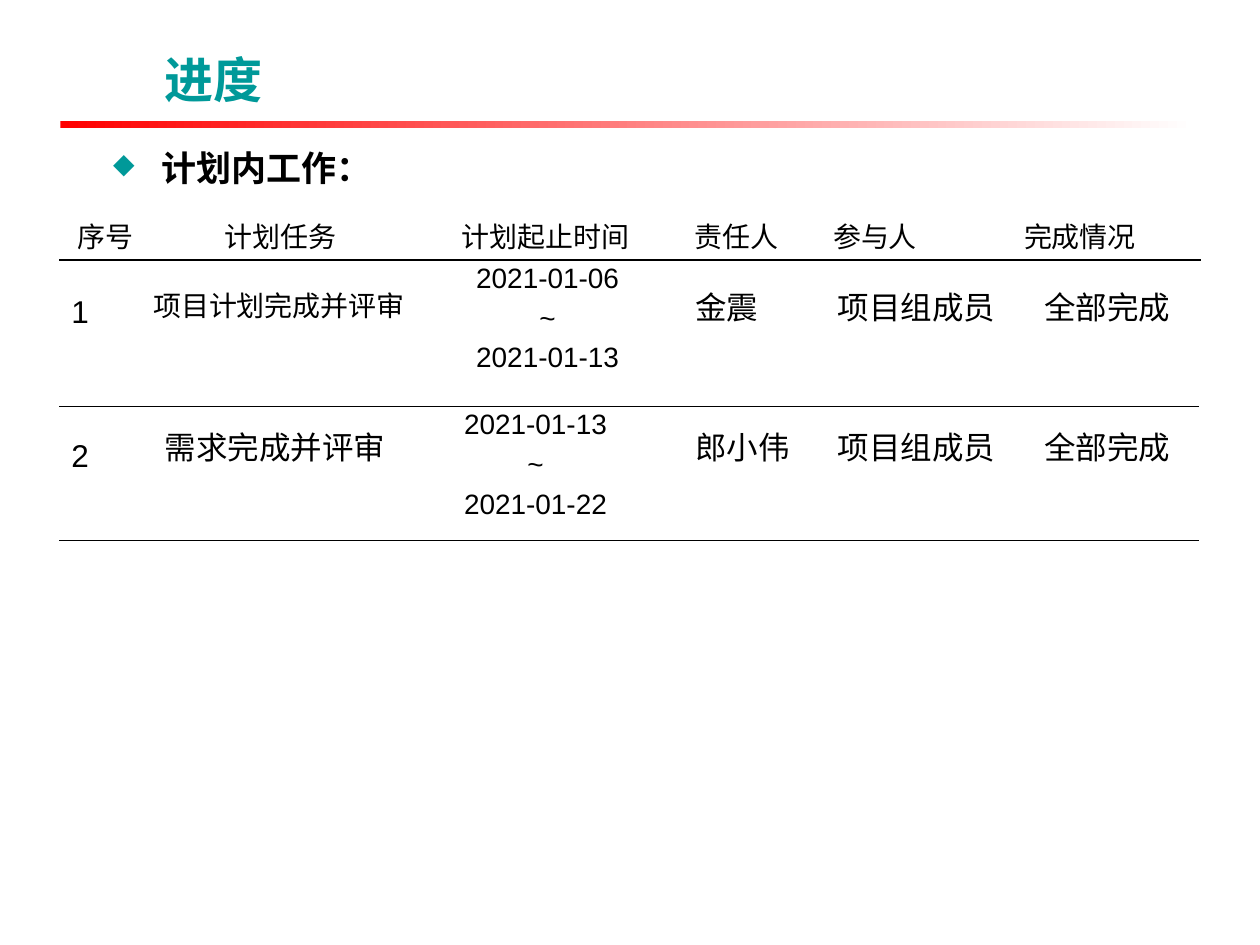
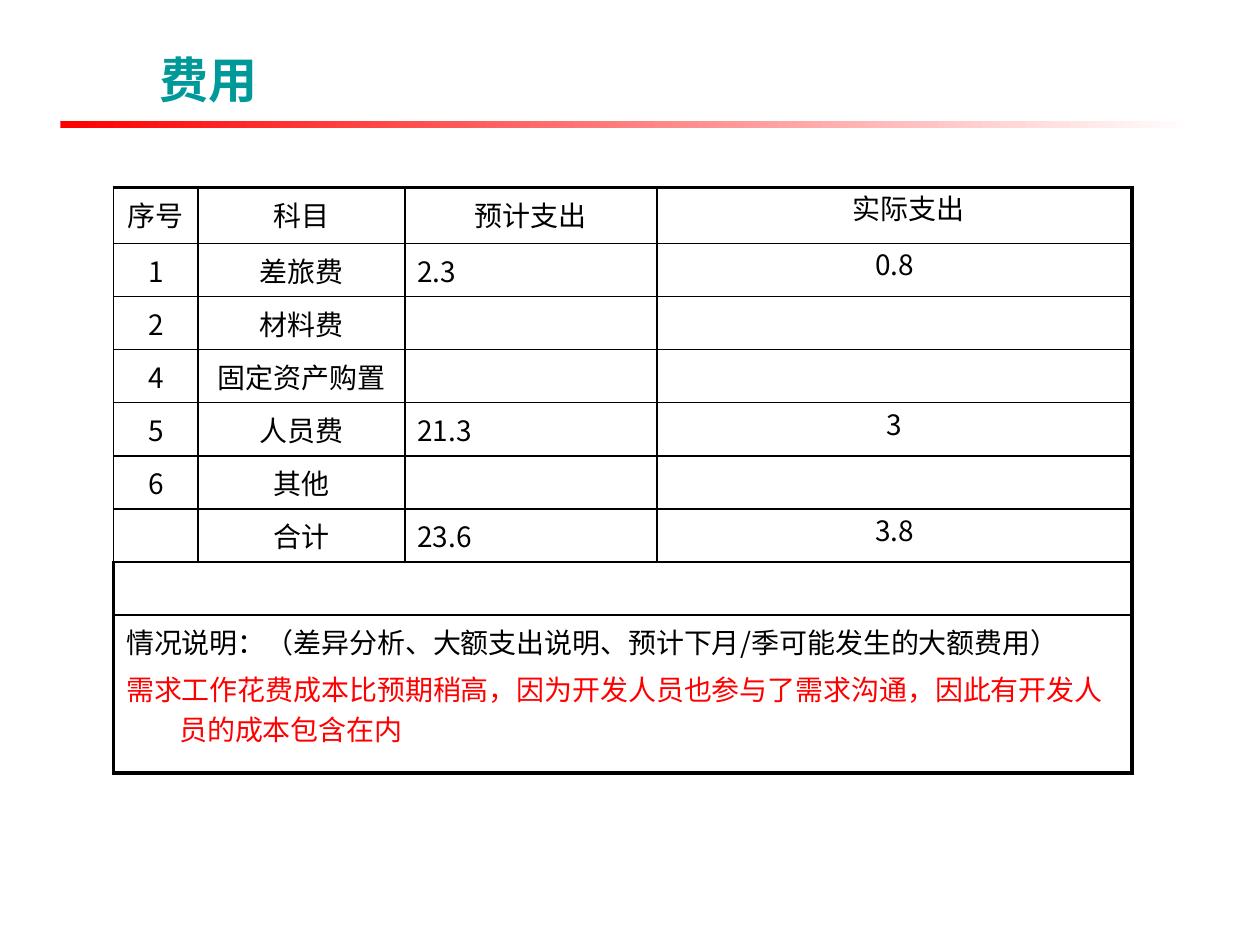
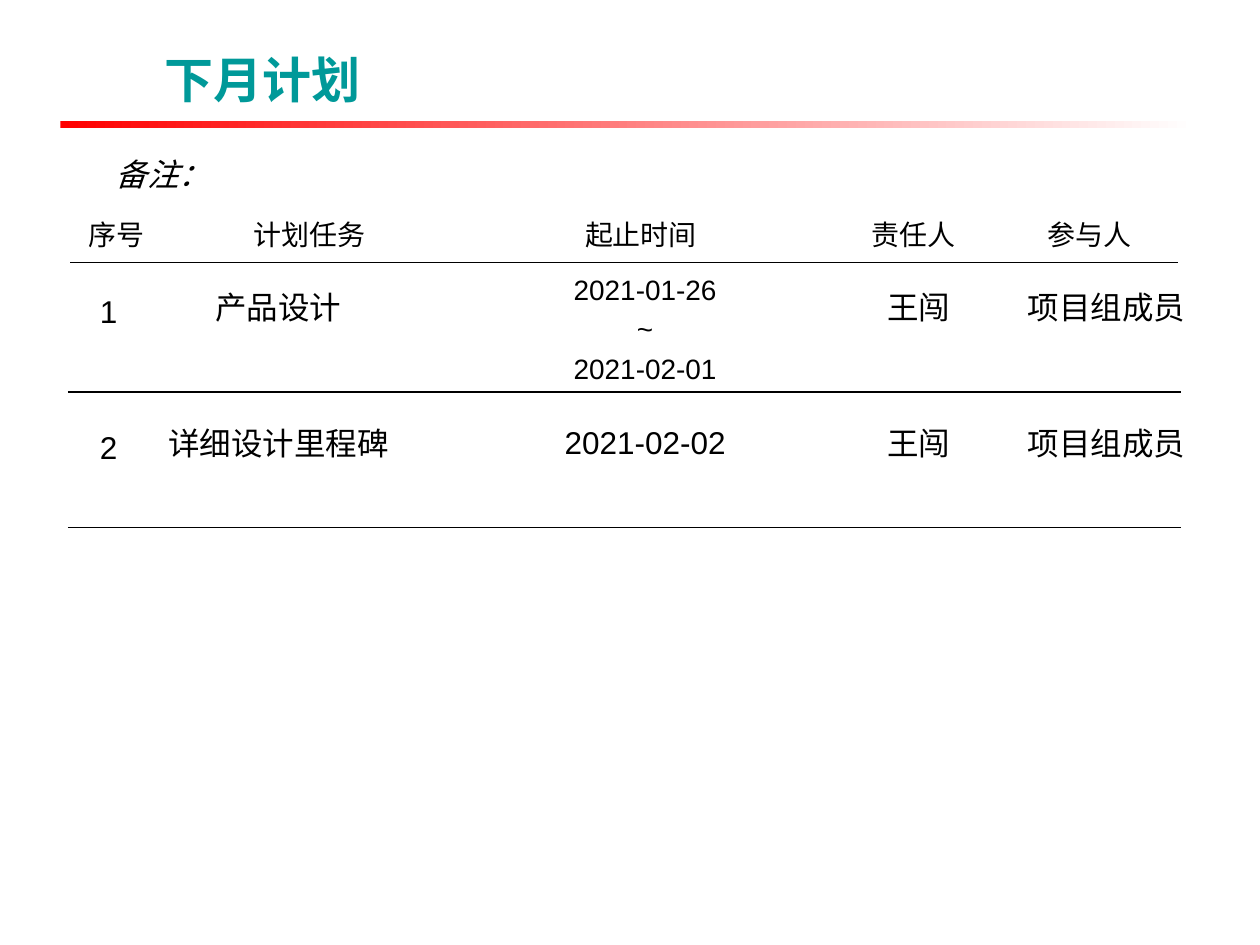
"""Build the monthly project report: progress, costs and next month's plan."""
from lxml import etree
from pptx import Presentation
from pptx import util as u
from pptx.dml.color import RGBColor
from pptx.enum import shapes, text
from pptx.oxml.ns import qn

COLORS = {"title": "009999", "ink": "000000", "alert": "FF0000", "paper": "FFFFFF"}
LATIN, HAN = "Arial", "Noto Sans CJK SC"
LEFT, CENTER = text.PP_ALIGN.LEFT, text.PP_ALIGN.CENTER
PARAGRAPH_GAP = u.Pt(3.5)
ROW_HEIGHT, DATES_HEIGHT = 1.02, 2.69
THIN, THICK = 1, 2.25


def rgb(name):
    """Return a palette colour."""
    return RGBColor.from_string(COLORS[name])


def style(paragraph, size, font=LATIN, color="ink", align=LEFT, bold=False, italic=False):
    """Format a whole paragraph."""
    paragraph.alignment = align
    paragraph.space_before = PARAGRAPH_GAP
    face = paragraph.font
    face.name, face.size, face.bold, face.italic = font, u.Pt(size), bold, italic
    face.color.rgb = rgb(color)


def hang(paragraph, indent):
    """Give a paragraph a hanging indent in cm."""
    properties = paragraph._p.get_or_add_pPr()
    properties.set("marL", str(u.Cm(indent)))
    properties.set("indent", str(-u.Cm(indent)))
    return properties


def add_bullet(paragraph):
    """Put a teal diamond before a paragraph."""
    properties = hang(paragraph, 0.97)
    color = etree.Element(qn("a:buClr"))
    etree.SubElement(color, qn("a:srgbClr"), val=COLORS["title"])
    size = etree.Element(qn("a:buSzPct"), val="80000")
    diamond = etree.Element(qn("a:buChar"), char="◆")
    position = properties.index(properties.find(qn("a:defRPr")))
    for offset, part in enumerate((color, size, diamond)):
        properties.insert(position + offset, part)


def add_text(slide, words, left, top, width, height=ROW_HEIGHT, size=18, wrap=True, **look):
    """Add a text box with one paragraph per line and return its paragraphs."""
    frame = slide.shapes.add_textbox(u.Cm(left), u.Cm(top), u.Cm(width), u.Cm(height)).text_frame
    frame.word_wrap = wrap
    frame.text = words
    for paragraph in frame.paragraphs:
        style(paragraph, size, **look)
    return frame.paragraphs


def add_dates(slide, start, end, left, top, width):
    """Add a centred start and end date."""
    add_text(slide, f"{start}\n~\n{end}", left, top, width, DATES_HEIGHT, 16, align=CENTER)


def add_rule(slide, left, right, y):
    """Draw a thin line under a task."""
    rule = slide.shapes.add_connector(
        shapes.MSO_CONNECTOR.STRAIGHT, u.Cm(left), u.Cm(y), u.Cm(right), u.Cm(y))
    rule.line.color.rgb = rgb("ink")
    rule.line.width = u.Pt(0.75)
    etree.SubElement(rule._element.spPr, qn("a:effectLst"))


def set_borders(cell, **widths):
    """Set the left, right, top and bottom borders; an absent one is hidden."""
    properties = cell._tc.get_or_add_tcPr()
    for position, side in enumerate("LRTB"):
        width = widths.get(side, 0)
        border = etree.Element(qn(f"a:ln{side}"), w=str(u.Pt(width)))
        if width:
            fill = etree.SubElement(border, qn("a:solidFill"))
            etree.SubElement(fill, qn("a:srgbClr"), val=COLORS["ink"])
        else:
            etree.SubElement(border, qn("a:noFill"))
        properties.insert(position, border)


def add_grid(slide, left, top, widths, heights):
    """Add a plain table with the given column widths and row heights."""
    table = slide.shapes.add_table(
        len(heights), len(widths), u.Cm(left), u.Cm(top),
        u.Cm(sum(widths)), u.Cm(sum(heights))).table
    table.first_row = table.horz_banding = False
    for column, width in zip(table.columns, widths):
        column.width = u.Cm(width)
    for row, height in zip(table.rows, heights):
        row.height = u.Cm(height)
    for cell in table.iter_cells():
        cell.fill.background()
    return table


def fill_cell(cell, words, align=CENTER):
    """Write a table cell."""
    cell.text = words
    for paragraph in cell.text_frame.paragraphs:
        style(paragraph, 16, HAN, align=align)


def add_header(slide, left, top, height, columns):
    """Add the heading row of a task list."""
    table = add_grid(slide, left, top, [width for _, width in columns], [height])
    for cell, (heading, _) in zip(table.iter_cells(), columns):
        fill_cell(cell, heading)
        set_borders(cell, B=THIN)


def add_page(deck, heading, left=3.07):
    """Add a slide with its title and the red band."""
    slide = deck.slides.add_slide(deck.slide_layouts[5])
    band = slide.shapes.add_shape(
        shapes.MSO_SHAPE.RECTANGLE, u.Cm(1.22), u.Cm(2.44), u.Cm(22.86), u.Cm(0.15))
    band.shadow.inherit = False
    band.line.fill.background()
    band.fill.gradient()
    band.fill.gradient_angle = 0
    for stop, color in zip(band.fill.gradient_stops, ("alert", "paper")):
        stop.color.rgb = rgb(color)
    title = slide.shapes.title
    title.left, title.top, title.width, title.height = u.Cm(left), u.Cm(0.71), u.Cm(21.21), u.Cm(1.6)
    title.text_frame.text = heading
    title.text_frame.auto_size = text.MSO_AUTO_SIZE.NONE
    title.text_frame.vertical_anchor = text.MSO_ANCHOR.BOTTOM
    style(title.text_frame.paragraphs[0], 28, color="title", bold=True)
    return slide


def add_progress(deck):
    """Add the progress slide."""
    slide = add_page(deck, "进度")
    add_bullet(add_text(slide, "计划内工作：", 2.03, 2.82, 22.3, 14.43, 20, bold=True)[0])
    add_header(slide, 1.19, 4.22, 1.02, [
        ("序号", 1.88), ("计划任务", 5.18), ("计划起止时间", 5.49),
        ("责任人", 2.21), ("参与人", 3.38), ("完成情况", 4.88)])
    add_text(slide, "项目计划完成并评审", 2.84, 5.69, 5.66, size=16)
    add_text(slide, "需求完成并评审", 3.07, 8.51, 5.08, font=HAN)
    add_dates(slide, "2021-01-06", "2021-01-13", 8.03, 5.13, 6.02)
    add_dates(slide, "2021-01-13", "2021-01-22", 7.95, 8.08, 5.69)
    for number, owner, number_top, top, rule_y in (
            ("1", "金震", 5.77, 5.69, 8.2), ("2", "郎小伟", 8.66, 8.51, 10.9)):
        add_text(slide, number, 1.19, number_top, 1.68)
        add_text(slide, owner, 13.77, top, 2.97)
        add_text(slide, "项目组成员", 16.64, top, 3.86)
        add_text(slide, "全部完成", 20.8, top, 3.07)
        add_rule(slide, 1.19, 24.18, rule_y)


def add_costs(deck):
    """Add the cost slide."""
    slide = add_page(deck, "费用", 2.97)
    costs = [
        ("序号", "科目", "预计支出", "　实际支出"),
        ("1", "差旅费", "2.3", "0.8"),
        ("2", "材料费", "", ""),
        ("4", "固定资产购置", "", ""),
        ("5", "人员费", "21.3", "3"),
        ("6", "其他", "", ""),
        ("", "合计", "23.6", "3.8")]
    heights = [1.13] + [1.07] * len(costs) + [3.18]
    table = add_grid(slide, 2.29, 3.78, [1.7, 4.17, 5.08, 9.58], heights)
    blank_row, note_row = len(costs), len(costs) + 1
    for row in range(len(heights)):
        for column in range(4):
            set_borders(
                table.cell(row, column),
                L=THICK if column == 0 and row >= blank_row else THIN,
                R=THICK if column == 3 or row >= blank_row else THIN,
                T=THICK if row == 0 else THIN,
                B=THICK if row == note_row else THIN)
    for row, entries in enumerate(costs):
        for column, entry in enumerate(entries):
            cell = table.cell(row, column)
            fill_cell(cell, entry, LEFT if column == 2 and row else CENTER)
            if column == 3 and entry:
                cell.margin_left = cell.margin_right = cell.margin_top = cell.margin_bottom = 0
    for row in (blank_row, note_row):
        table.cell(row, 0).merge(table.cell(row, 3))
    note = table.cell(note_row, 0)
    fill_cell(note, "情况说明：（差异分析、大额支出说明、预计下月/季可能发生的大额费用）\n"
                    "需求工作花费成本比预期稍高，因为开发人员也参与了需求沟通，因此有开发人员的成本包含在内", LEFT)
    for paragraph in note.text_frame.paragraphs:
        hang(paragraph, 1.07)
    note.text_frame.paragraphs[1].font.color.rgb = rgb("alert")


def add_plan(deck):
    """Add the slide with next month's plan."""
    slide = add_page(deck, "下月计划")
    add_text(slide, "备注：", 2.08, 3, 2.41, wrap=False, italic=True)
    add_header(slide, 1.42, 4.17, 1.12, [
        ("序号", 1.85), ("计划任务", 5.94), ("起止时间", 7.42), ("责任人", 3.56), ("参与人", 3.56)])
    add_dates(slide, "2021-01-26", "2021-02-01", 10.16, 5.36, 5.69)
    add_text(slide, "2021-02-02", 10.16, 8.41, 5.69, align=CENTER)
    for number, task, top, rule_y in (
            ("1", "产品设计", 5.69, 7.9), ("2", "详细设计里程碑", 8.43, 10.64)):
        add_text(slide, number, 1.35, top + 0.08, 1.68, align=CENTER)
        add_text(slide, task, 3.07, top, 5.08, font=HAN, align=CENTER)
        add_text(slide, "王闯", 16.69, top, 3.66, align=CENTER)
        add_text(slide, "项目组成员", 20.47, top, 3.76)
        add_rule(slide, 1.37, 23.8, rule_y)


def main():
    """Build and save the report."""
    deck = Presentation()
    deck.slide_width, deck.slide_height = u.Cm(25.4), u.Cm(19.05)
    add_progress(deck)
    add_costs(deck)
    add_plan(deck)
    deck.save("out.pptx")


if __name__ == "__main__":
    main()
